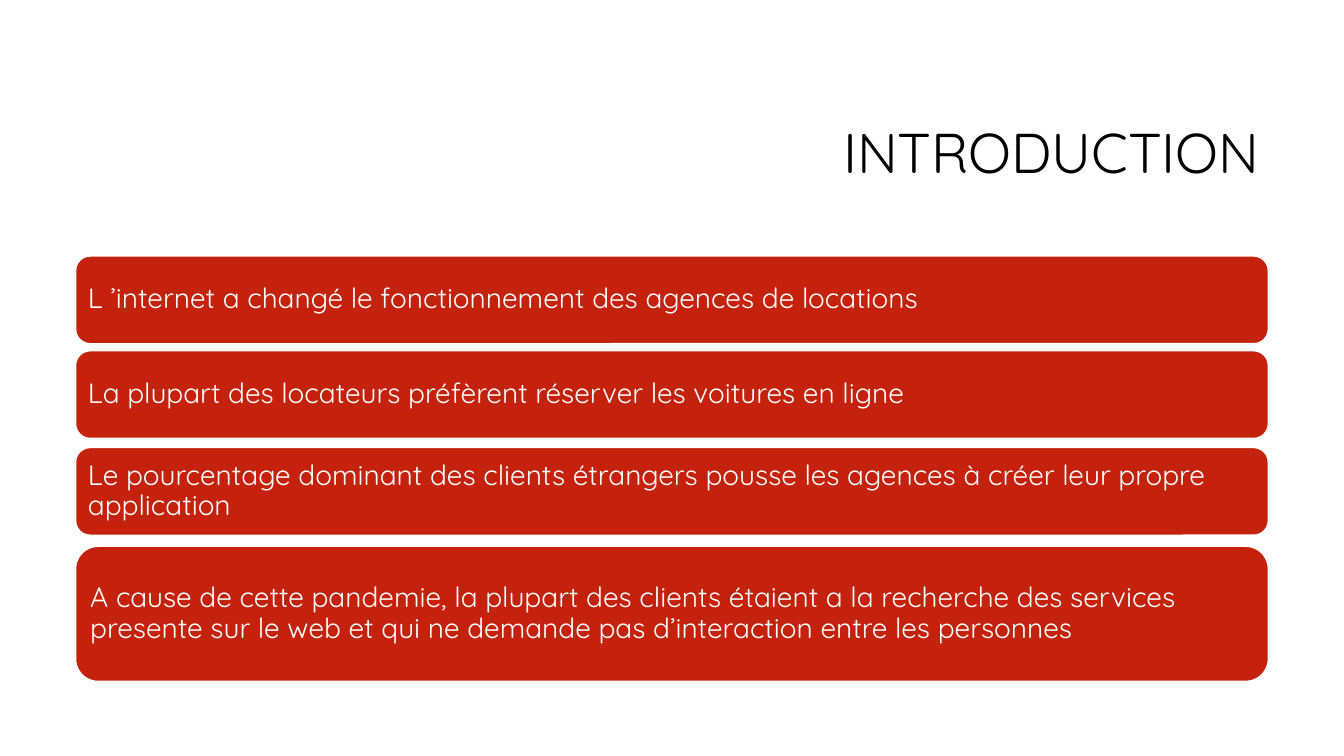
from dataclasses import dataclass

import pptx
import pptx.dml.color
import pptx.enum.shapes
import pptx.enum.text
import pptx.util

Inches = pptx.util.Inches
Pt = pptx.util.Pt
Align = pptx.enum.text.PP_ALIGN


@dataclass(frozen=True)
class Theme:
    font: str = "Quicksand"
    red: str = "C4220D"
    white: str = "FFFFFF"
    black: str = "000000"
    title_size: int = 40
    body_size: int = 20


THEME = Theme()
CARD_LEFT, CARD_WIDTH = 0.75, 11.83
CARDS = [
    (2.54, 0.87, "L ’internet a changé le fonctionnement des agences de locations"),
    (3.48, 0.87, "La plupart des locateurs préfèrent réserver les voitures en ligne"),
    (4.44, 0.87, "Le pourcentage dominant des clients étrangers pousse les agences "
                 "à créer leur propre application"),
    (5.42, 1.34, "A cause de cette pandemie, la plupart des clients étaient a la "
                 "recherche des services presente sur le web et qui ne demande pas "
                 "d’interaction entre les personnes"),
]


def rgb(value):
    return pptx.dml.color.RGBColor.from_string(value)


def write_text(box, text, size, color, align):
    frame = box.text_frame
    frame.word_wrap = True
    frame.vertical_anchor = pptx.enum.text.MSO_ANCHOR.MIDDLE
    para = frame.paragraphs[0]
    para.alignment = align
    para.line_spacing = 0.9
    span = para.add_run()
    span.text = text
    span.font.name = THEME.font
    span.font.size = Pt(size)
    span.font.color.rgb = rgb(color)


def add_title(page, text):
    box = page.shapes.add_textbox(Inches(3.17), Inches(0.84), Inches(9.42), Inches(1.41))
    write_text(box, text, THEME.title_size, THEME.black, Align.RIGHT)


def add_card(page, top, height, text):
    card = page.shapes.add_shape(
        pptx.enum.shapes.MSO_SHAPE.ROUNDED_RECTANGLE,
        Inches(CARD_LEFT), Inches(top), Inches(CARD_WIDTH), Inches(height))
    card.shadow.inherit = False
    card.fill.solid()
    card.fill.fore_color.rgb = rgb(THEME.red)
    card.line.color.rgb = rgb(THEME.white)
    card.line.width = Pt(1)
    frame = card.text_frame
    frame.margin_left = frame.margin_right = Inches(0.08)
    frame.margin_top = frame.margin_bottom = Inches(0.08)
    write_text(card, text, THEME.body_size, THEME.white, Align.LEFT)


def main():
    deck = pptx.Presentation()
    deck.slide_width = Inches(13.33)
    deck.slide_height = Inches(7.5)
    page = deck.slides.add_slide(deck.slide_layouts[6])
    add_title(page, "INTRODUCTION")
    for top, height, text in CARDS:
        add_card(page, top, height, text)
    deck.save("out.pptx")


if __name__ == "__main__":
    main()
